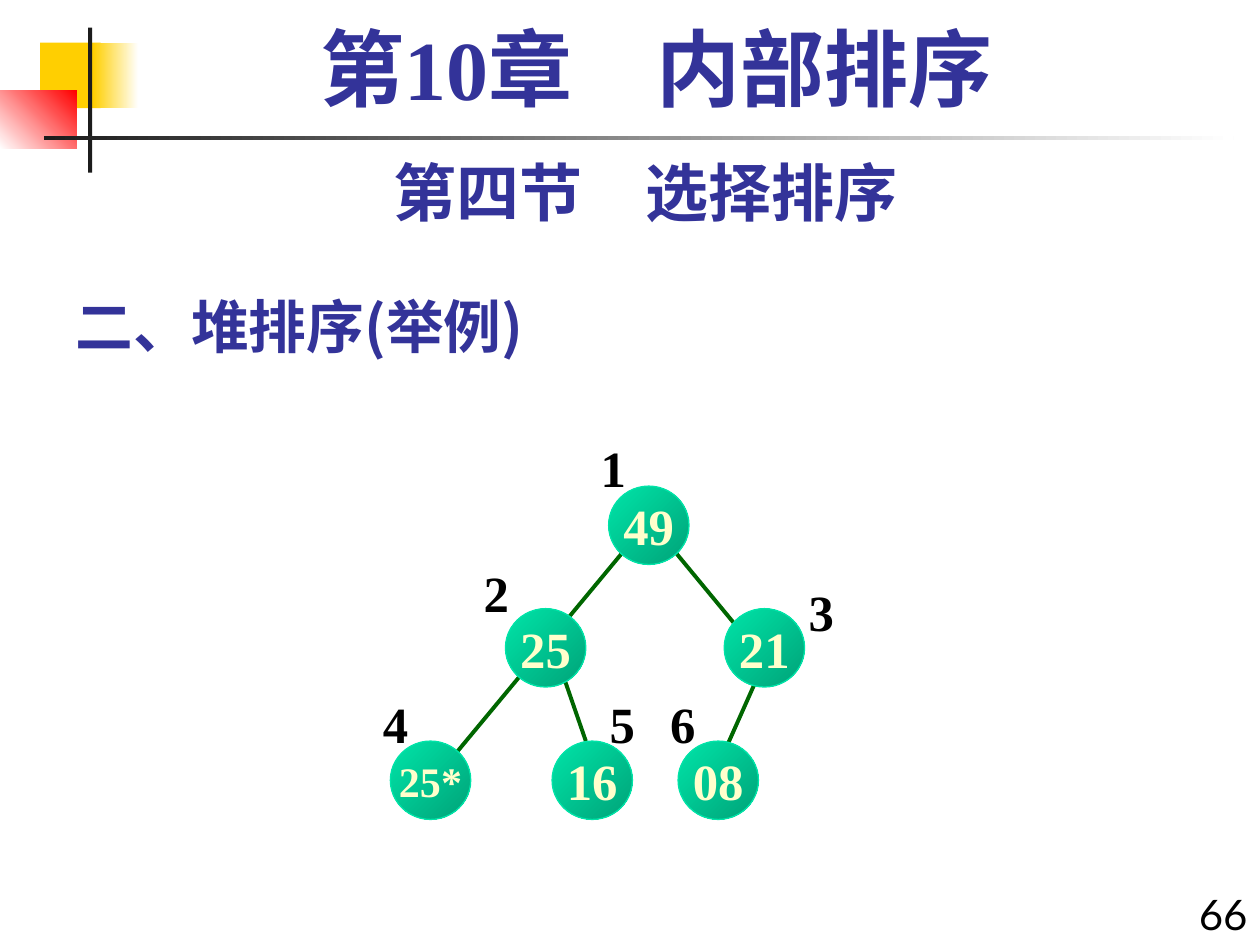
"""Build the heap sort example slide with its binary tree."""
from lxml.etree import SubElement
from pptx import Presentation
from pptx.dml.color import RGBColor
from pptx.enum.shapes import MSO_CONNECTOR as Link, MSO_SHAPE as Kind
from pptx.enum.text import MSO_ANCHOR as Anchor, MSO_AUTO_SIZE as Auto, PP_ALIGN as Align
from pptx.oxml.ns import qn
from pptx.util import Cm, Pt

WHITE = RGBColor(0xFF, 0xFF, 0xFF)
BLACK = RGBColor(0, 0, 0)
GOLD = RGBColor(0xFF, 0xCF, 0x01)
RED = RGBColor(0xFF, 0, 0)
DARK = RGBColor(0x1C, 0x1C, 0x1C)
BLUE = RGBColor(0x33, 0x33, 0x99)
GREEN = RGBColor(0, 0x66, 0)
MINT = RGBColor(0, 0xE4, 0xA8)
TEAL = RGBColor(0, 0xA3, 0x78)
CREAM = RGBColor(0xFF, 0xFF, 0xCC)
SERIF, SANS, HAN = "Times New Roman", "Lato", "Noto Sans CJK SC"


def paint(kind, box, first, last=None, angle=0):
    shape = slide.shapes.add_shape(kind, *map(Cm, box))
    shape.shadow.inherit = False
    shape.line.fill.background()
    if last is None:
        shape.fill.solid()
        shape.fill.fore_color.rgb = first
    else:
        shape.fill.gradient()
        shape.fill.gradient_angle = angle
        for stop, tint in zip(shape.fill.gradient_stops, (first, last)):
            stop.color.rgb = tint
    return shape


def write(shape, text, face, size, color, align=Align.LEFT, bold=True, **frame):
    body = shape.text_frame
    for key, value in {"word_wrap": True, "auto_size": Auto.NONE, **frame}.items():
        setattr(body, key, value)
    para = body.paragraphs[0]
    para.alignment = align
    run = para.add_run()
    run.text = text
    for key, value in {"name": face, "size": Pt(size), "bold": bold}.items():
        setattr(run.font, key, value)
    run.font.color.rgb = color
    SubElement(run.font._element, qn("a:ea")).set("typeface", HAN)
    return para


deck = Presentation()
deck.slide_width, deck.slide_height = Cm(25.4), Cm(19.05)
slide = deck.slides.add_slide(deck.slide_layouts[5])

for decor in [
    ((0.81, 0.86, 1.22, 1.32), GOLD),
    ((1.88, 0.86, 0.91, 1.32), GOLD, WHITE),
    ((0, 1.83, 1.55, 1.17), WHITE, RED, 45),
    ((1.78, 0.56, 0.08, 2.92), DARK),
    ((0.89, 2.74, 23.98, 0.08), DARK, WHITE),
]:
    paint(Kind.RECTANGLE, *decor)

title = slide.shapes.title
for key, value in {"left": 1.27, "top": 5.51, "width": 15.88, "height": 1.88}.items():
    setattr(title, key, Cm(value))
write(title, "二、堆排序(举例)", HAN, 33, BLUE, vertical_anchor=Anchor.BOTTOM)

for box, text, face, size, color, align, bold, space in [
    ((23.7, 17.78, 1.7, 1.27), "66", SANS, 24, BLACK, Align.RIGHT, False, 1),
    ((1.27, 2.97, 23.5, 1.78), "第四节\u3000选择排序".replace("\u3000", "　"), SANS, 36, BLUE, Align.CENTER, True, 1),
    ((1.7, 0.43, 23.06, 2.11), "第10章　内部排序", SERIF, 48, BLUE, Align.CENTER, True, 0.9),
]:
    area = slide.shapes.add_textbox(*map(Cm, box))
    write(area, text, face, size, color, align, bold).line_spacing = space

for ends in [
    (15.29, 13.61, 14.6, 15.16),
    (13.44, 10.92, 15.29, 13.16),
    (11.35, 13.61, 11.81, 14.94),
    (12.73, 10.92, 9.02, 15.39),
]:
    edge = slide.shapes.add_connector(Link.STRAIGHT, *map(Cm, ends))
    edge.line.color.rgb = GREEN
    edge.line.width = Pt(2.25)
    SubElement(edge._element.spPr, qn("a:effectLst"))

LEVELS = [9.8, 12.27, 14.94]
NODES = [
    ("49", 12.27, 29, 11.86, 8.69),
    ("25", 10.19, 29, 9.5, 11.2),
    ("21", 14.6, 29, 16.05, 11.58),
    ("25*", 7.87, 24, 7.47, 13.84),
    ("16", 11.13, 29, 12.04, 13.84),
    ("08", 13.67, 29, 13.26, 13.84),
]
for rank, (value, left, size, x, y) in enumerate(NODES, 1):
    top = LEVELS[rank.bit_length() - 1]
    node = paint(Kind.OVAL, (left, top, 1.62, 1.58), MINT, TEAL, 315)
    node.line.color.rgb = MINT
    node.line.width = Pt(0.75)
    write(node, value, SERIF, size, CREAM, Align.CENTER,
          word_wrap=False, vertical_anchor=Anchor.MIDDLE)
    label = slide.shapes.add_textbox(*map(Cm, (x, y, 1.02, 1.45)))
    write(label, str(rank), SERIF, 29, BLACK, word_wrap=False)

deck.save("out.pptx")
